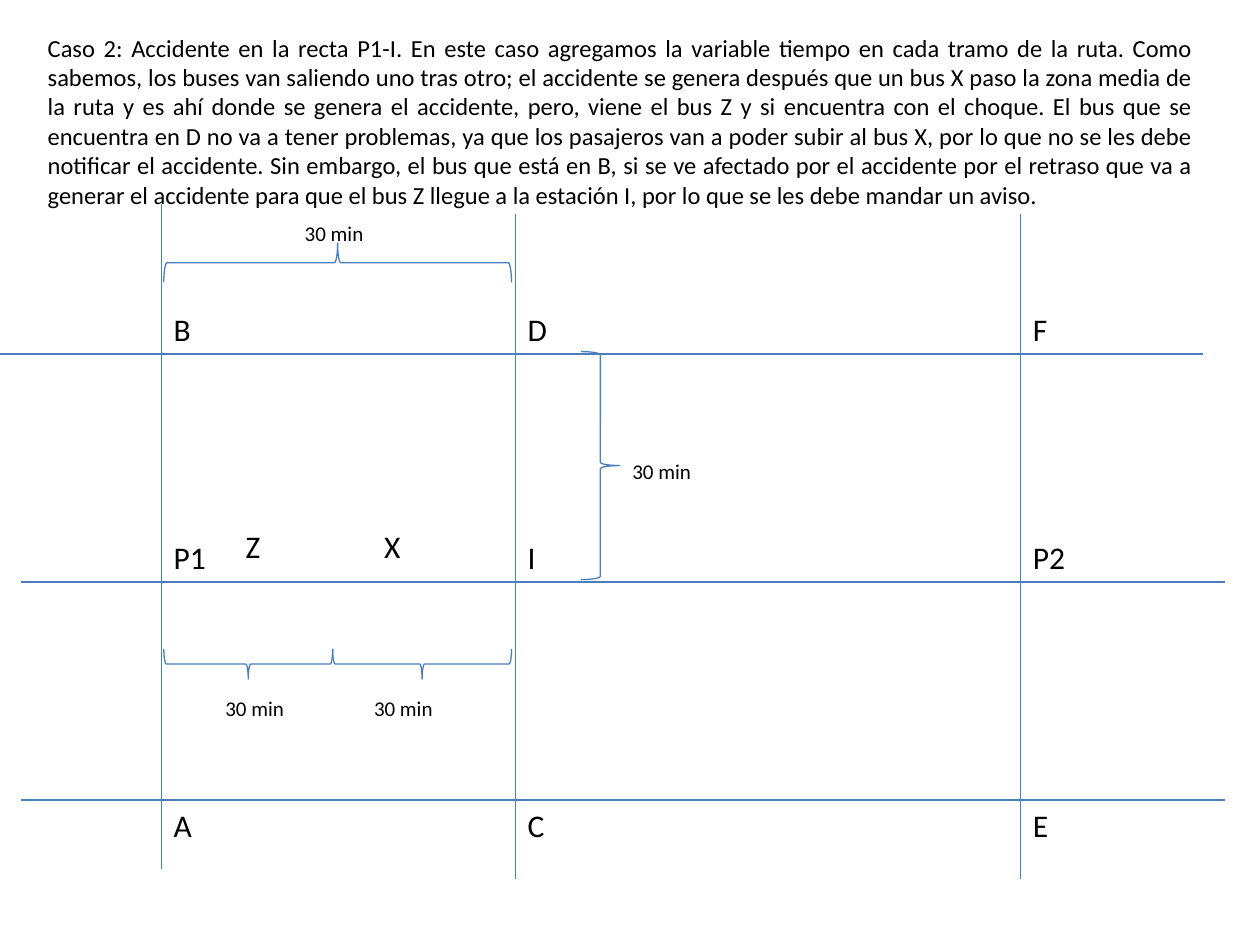
from pptx import Presentation
from pptx.dml.color import RGBColor
from pptx.enum.shapes import MSO_CONNECTOR, MSO_SHAPE
from pptx.enum.text import MSO_AUTO_SIZE, PP_ALIGN
from pptx.oxml.ns import qn
from pptx.util import Inches, Pt
from lxml import etree

COLORS = {"line": "4B7EBC", "text": "000000"}
FONT = "Calibri"
LABEL_H = 0.4
TIME_H = 0.3

INTRO = (
    "Caso 2: Accidente en la recta P1-I. En este caso agregamos la variable tiempo "
    "en cada tramo de la ruta. Como sabemos, los buses van saliendo uno tras otro; "
    "el accidente se genera después que un bus X paso la zona media de la ruta y es "
    "ahí donde se genera el accidente, pero, viene el bus Z y si encuentra con el "
    "choque. El bus que se encuentra en D no va a tener problemas, ya que los "
    "pasajeros van a poder subir al bus X, por lo que no se les debe notificar el "
    "accidente. Sin embargo, el bus que está en B, si se ve afectado por el accidente "
    "por el retraso que va a generar el accidente para que el bus Z llegue a la "
    "estación I, por lo que se les debe mandar un aviso."
)


def rgb(name):
    return RGBColor.from_string(COLORS[name])


def add_text(shapes, box, text, size, align=PP_ALIGN.LEFT):
    sp = shapes.add_textbox(*map(Inches, box))
    tf = sp.text_frame
    tf.word_wrap = True
    tf.auto_size = MSO_AUTO_SIZE.SHAPE_TO_FIT_TEXT
    p = tf.paragraphs[0]
    p.alignment = align
    r = p.add_run()
    r.text = text
    for key, value in {"name": FONT, "size": Pt(size)}.items():
        setattr(r.font, key, value)
    r.font.color.rgb = rgb("text")


def style_line(sp):
    sp.line.color.rgb = rgb("line")
    sp.line.width = Pt(0.75)


def add_street(shapes, x1, y1, x2, y2):
    line = shapes.add_connector(MSO_CONNECTOR.STRAIGHT, *map(Inches, (x1, y1, x2, y2)))
    style_line(line)
    etree.SubElement(line._element.spPr, qn("a:effectLst"))


def add_brace(shapes, box, rotation=0):
    """Place a brace so that it fills the box after rotation."""
    x, y, w, h = box
    if rotation:
        x, y, w, h = x + (w - h) / 2, y + (h - w) / 2, h, w
    sp = shapes.add_shape(MSO_SHAPE.RIGHT_BRACE, *map(Inches, (x, y, w, h)))
    sp.rotation = rotation
    sp.shadow.inherit = False
    sp.fill.background()
    style_line(sp)


def add_street_map(s, left, top):
    """Street grid with a station name at each crossing."""
    shapes = s.shapes.add_group_shape().shapes
    street_w, street_h = 9.55, 5.28
    # Offsets of each street: crossing position, then where the line starts
    columns = [(1.28, 0), (4.09, 0.08), (8.1, 0.08)]
    rows = [(1.19, 0), (3.0, 0.17), (4.73, 0.17)]
    for x, start in columns:
        add_street(shapes, left + x, top + start, left + x, top + start + street_h)
    for y, start in rows:
        add_street(shapes, left + start, top + y, left + start + street_w, top + y)

    # Names sit above their street, except in the last row
    stations = [("B", "D", "F"), ("P1", "I", "P2"), ("A", "C", "E")]
    for (y, _), names in zip(rows, stations):
        label_y = y if names is stations[-1] else y - LABEL_H
        for (x, _), name in zip(columns, names):
            width = 0.6 if len(name) > 1 else 0.43
            add_text(shapes, (left + x, top + label_y, width, LABEL_H), name, 18)


def add_travel_time(s, box, rotation, label_dx, label_dy, label_w):
    """Brace over a stretch of the route, with its time at an offset from the box."""
    shapes = s.shapes.add_group_shape().shapes
    add_brace(shapes, box, rotation)
    x, y = box[:2]
    add_text(shapes, (x + label_dx, y + label_dy, label_w, TIME_H), "30 min", 12)


def add_buses(s, left, top):
    for dx, name in ((0, "Z"), (1.1, "X")):
        add_text(s.shapes, (left + dx, top, 0.31, LABEL_H), name, 18)


def main():
    prs = Presentation()
    prs.slide_width, prs.slide_height = Inches(10), Inches(7.5)
    s = prs.slides.add_slide(prs.slide_layouts[6])

    add_street_map(s, 0, 1.62)
    add_text(s.shapes, (0.28, 0.21, 9.29, 1.51), INTRO, 14, PP_ALIGN.JUSTIFY)

    # Times: P1 to the middle, middle to I, D to I, B to D
    add_travel_time(s, (1.3, 5.15, 1.34, 0.24), 90, 0.39, 0.32, 0.71)
    add_travel_time(s, (2.64, 5.15, 1.42, 0.24), 90, 0.23, 0.32, 0.71)
    add_travel_time(s, (4.61, 2.79, 0.31, 1.81), 0, 0.31, 0.8, 0.79)
    add_travel_time(s, (1.3, 1.93, 2.76, 0.31), 270, 1.02, -0.23, 0.79)

    add_buses(s, 1.85, 4.13)
    prs.save("out.pptx")


if __name__ == "__main__":
    main()
